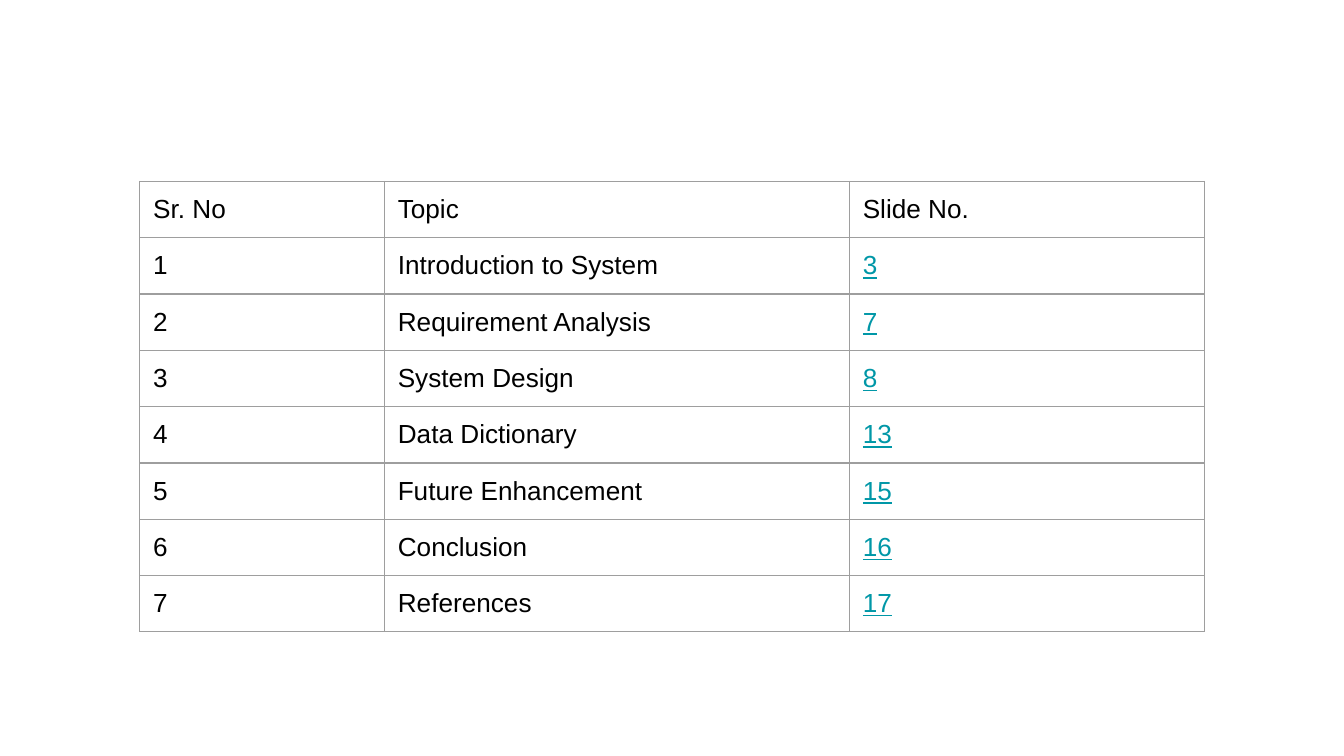
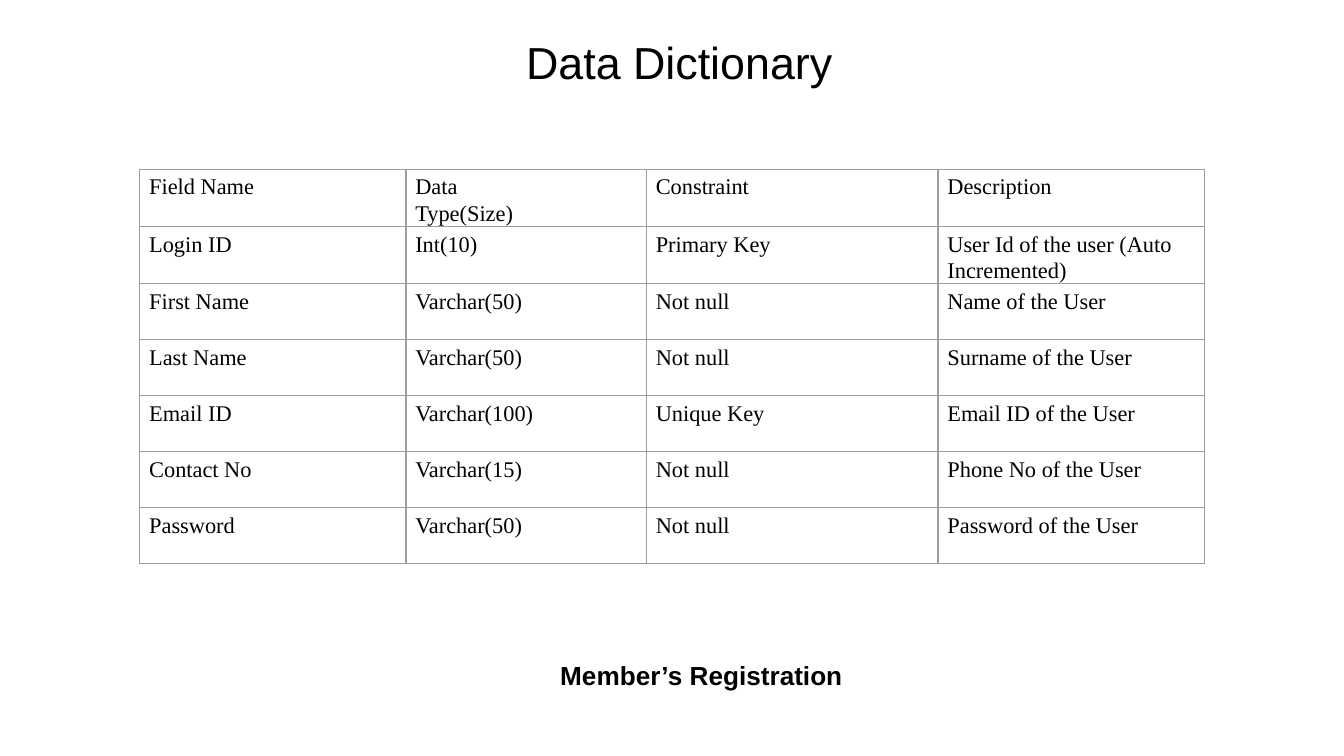
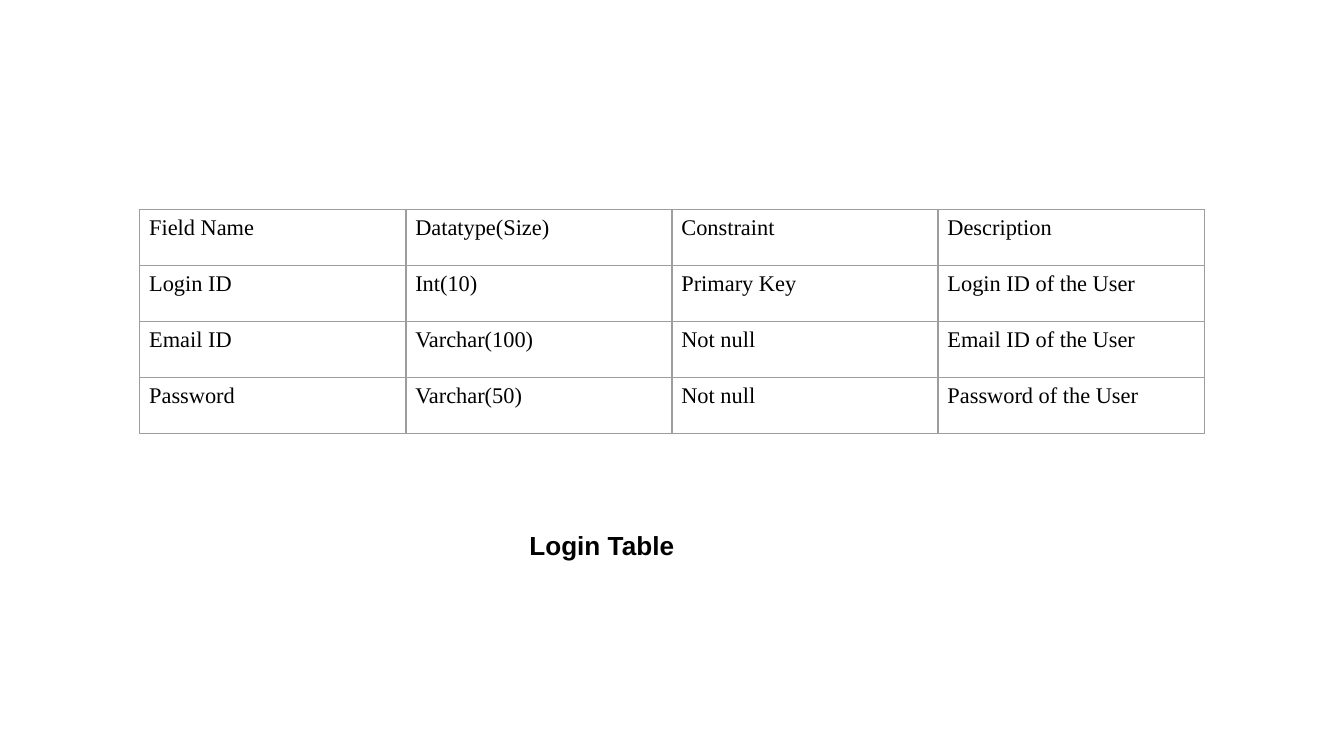
from dataclasses import dataclass

from lxml import etree
from pptx import Presentation
from pptx.dml.color import RGBColor
from pptx.enum.text import MSO_ANCHOR, PP_ALIGN
from pptx.oxml.ns import qn
from pptx.util import Inches, Pt

TOP = MSO_ANCHOR.TOP
CENTER = PP_ALIGN.CENTER
LEFT = PP_ALIGN.LEFT
TITLE_ONLY, BLANK = 5, 6


@dataclass(frozen=True)
class Theme:
    text: str = "000000"
    link: str = "0097A7"
    border: str = "9E9E9E"
    border_width: float = 0.75
    sans: str = "Arial"
    serif: str = "Times New Roman"
    title_size: int = 24
    caption_size: int = 14
    topic_size: int = 14
    field_size: int = 12


THEME = Theme()
SLIDE_SIZE = (10, 10 * 9 / 16)
TABLE_LEFT, TABLE_WIDTH, ROW_HEIGHT = 1.04, 7.92, 5 / 12
BOX_MARGINS = (0.1, 0.1, 0.1, 0.1)

TOPIC_STYLE = {"margins": BOX_MARGINS, "line_spacing": None,
               "font": {"name": THEME.sans, "size": Pt(THEME.topic_size)}}
FIELD_STYLE = {"margins": (0.07, 0.03, 0.08, 0), "line_spacing": 1.07,
               "font": {"name": THEME.serif, "size": Pt(THEME.field_size)}}
TITLE_FONT = {"name": THEME.sans, "size": Pt(THEME.title_size), "bold": False}
CAPTION_FONT = {"name": THEME.sans, "size": Pt(THEME.caption_size), "bold": True}

TOPICS = [
    ("Introduction to System", 3),
    ("Requirement Analysis", 7),
    ("System Design", 8),
    ("Data Dictionary", 13),
    ("Future Enhancement", 15),
    ("Conclusion", 16),
    ("References", 17),
]
MEMBER_FIELDS = [
    ("Field Name", "Data\nType(Size)", "Constraint", "Description"),
    ("Login ID", "Int(10)", "Primary Key", "User Id of the user (Auto Incremented)"),
    ("First Name", "Varchar(50)", "Not null", "Name of the User"),
    ("Last Name", "Varchar(50)", "Not null", "Surname of the User"),
    ("Email ID", "Varchar(100)", "Unique Key", "Email ID of the User"),
    ("Contact No", "Varchar(15)", "Not null", "Phone No of the User"),
    ("Password", "Varchar(50)", "Not null", "Password of the User"),
]
LOGIN_FIELDS = [
    ("Field Name", "Datatype(Size)", "Constraint", "Description"),
    ("Login ID", "Int(10)", "Primary Key", "Login ID of the User"),
    ("Email ID", "Varchar(100)", "Not null", "Email ID of the User"),
    ("Password", "Varchar(50)", "Not null", "Password of the User"),
]
TOPIC_ROWS = [("Sr. No", "Topic", "Slide No.")] + [
    (str(number), topic, str(target))
    for number, (topic, target) in enumerate(TOPICS, 1)
]

SLIDES = [
    {"rows": TOPIC_ROWS, "top": 1.35, "widths": (1.82, 3.46, 2.64),
     "style": TOPIC_STYLE, "link_column": 2},
    {"title": "Data Dictionary ", "title_box": (3.21, 0.16, 3.78, 0.94),
     "rows": MEMBER_FIELDS, "top": 1.26, "widths": (1.98, 1.79, 2.17, 1.98),
     "style": FIELD_STYLE,
     "caption": "Member’s Registration", "caption_box": (4.07, 4.81, 2.64, 0.48)},
    {"rows": LOGIN_FIELDS, "top": 1.56, "widths": (TABLE_WIDTH / 4,) * 4,
     "style": FIELD_STYLE,
     "caption": "Login Table", "caption_box": (3.84, 3.84, 1.79, 0.48)},
]


def set_values(target, values):
    for name, value in values.items():
        setattr(target, name, value)


def set_margins(target, margins):
    sides = ("margin_left", "margin_top", "margin_right", "margin_bottom")
    set_values(target, dict(zip(sides, map(Inches, margins))))


def write_text(frame, text, font, color=THEME.text, **paragraph_format):
    frame.text = text
    for paragraph in frame.paragraphs:
        set_values(paragraph, paragraph_format)
        for run in paragraph.runs:
            set_values(run.font, font)
            run.font.color.rgb = RGBColor.from_string(color)


def fill_box(shape, text, font, alignment):
    frame = shape.text_frame
    set_values(frame, {"word_wrap": True, "vertical_anchor": TOP})
    set_margins(frame, BOX_MARGINS)
    write_text(frame, text, font, alignment=alignment)


def draw_borders(cell):
    properties = cell._tc.get_or_add_tcPr()
    for side in ("lnL", "lnR", "lnT", "lnB"):
        line = etree.SubElement(properties, qn(f"a:{side}"),
                                w=str(Pt(THEME.border_width)))
        fill = etree.SubElement(line, qn("a:solidFill"))
        etree.SubElement(fill, qn("a:srgbClr"), val=THEME.border)


def add_grid(slide, rows, top, widths, style, link_column=None):
    table = slide.shapes.add_table(
        len(rows), len(widths), Inches(TABLE_LEFT), Inches(top),
        Inches(TABLE_WIDTH), Inches(ROW_HEIGHT * len(rows))).table
    set_values(table, {"first_row": False, "horz_banding": False})
    for column, width in zip(table.columns, widths):
        column.width = Inches(width)
    for row_index, values in enumerate(rows):
        table.rows[row_index].height = Inches(ROW_HEIGHT)
        for column_index, value in enumerate(values):
            cell = table.cell(row_index, column_index)
            is_link = row_index > 0 and column_index == link_column
            set_margins(cell, style["margins"])
            draw_borders(cell)
            cell.fill.background()
            write_text(cell.text_frame, value,
                       {**style["font"], "underline": is_link},
                       THEME.link if is_link else THEME.text,
                       line_spacing=style["line_spacing"])


def build_slide(presentation, content):
    layout = TITLE_ONLY if "title" in content else BLANK
    slide = presentation.slides.add_slide(presentation.slide_layouts[layout])
    if "title" in content:
        title = slide.shapes.title
        places = ("left", "top", "width", "height")
        set_values(title, dict(zip(places, map(Inches, content["title_box"]))))
        fill_box(title, content["title"], TITLE_FONT, CENTER)
    add_grid(slide, content["rows"], content["top"], content["widths"],
             content["style"], content.get("link_column"))
    if "caption" in content:
        caption = slide.shapes.add_textbox(*map(Inches, content["caption_box"]))
        fill_box(caption, content["caption"], CAPTION_FONT, LEFT)


def main():
    presentation = Presentation()
    presentation.slide_width, presentation.slide_height = map(Inches, SLIDE_SIZE)
    for content in SLIDES:
        build_slide(presentation, content)
    presentation.save("out.pptx")


if __name__ == "__main__":
    main()
